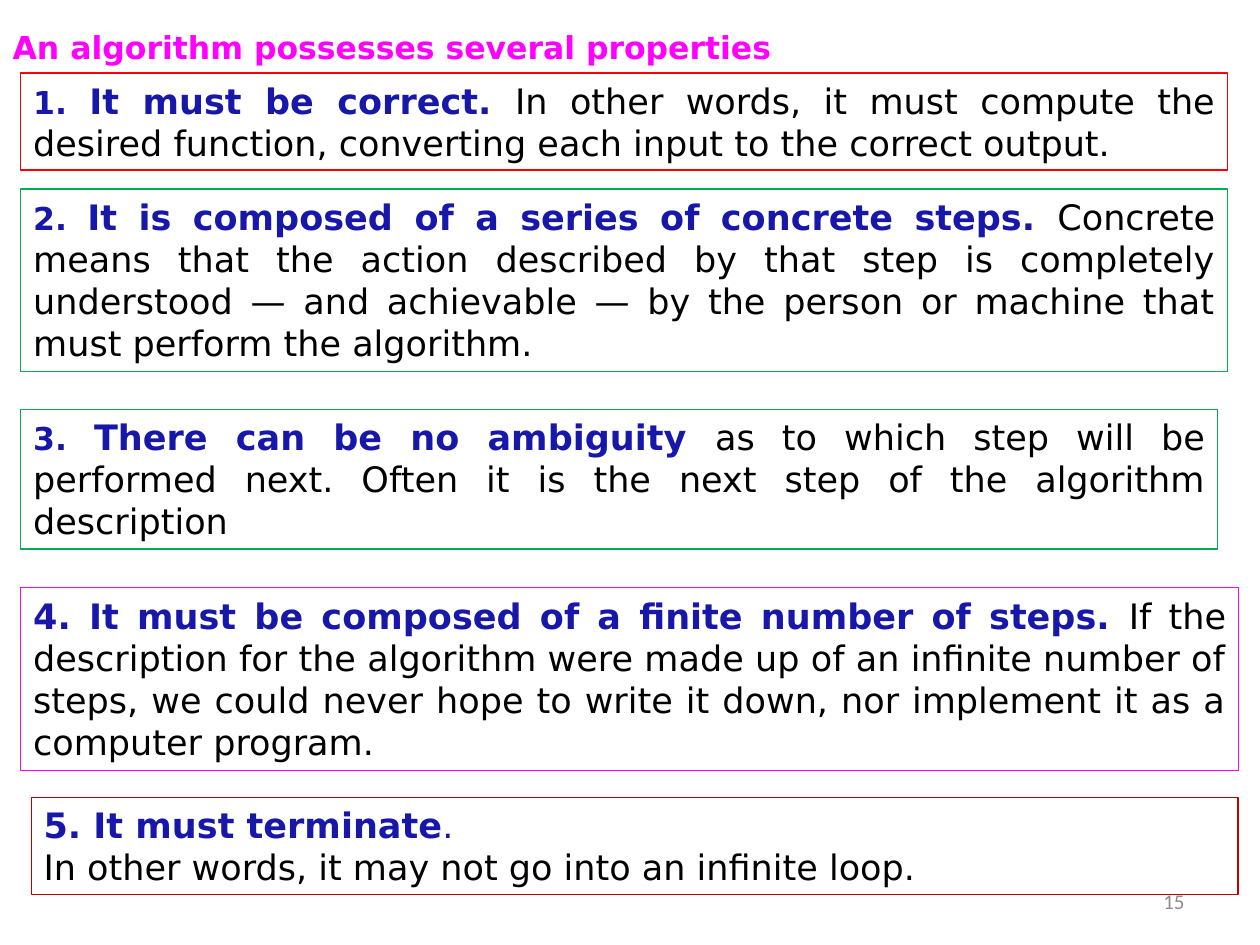
from pptx import Presentation
from pptx.dml.color import RGBColor
from pptx.enum.shapes import MSO_SHAPE
from pptx.enum.text import MSO_ANCHOR, MSO_AUTO_SIZE, PP_ALIGN
from pptx.util import Cm, Pt

BODY_FONT = "DejaVu Sans"
HEADING_COLOR = "1717A9"
BODY_COLOR = "000000"

PROPERTIES = [
    ((0.42, 1.47, 24.33, 1.96), "FF0000", PP_ALIGN.JUSTIFY, [[
        ("1. ", 18, True, HEADING_COLOR),
        ("It must be correct. ", 20, True, HEADING_COLOR),
        ("In other words, it must compute the desired function, converting "
         "each input to the correct output. ", 20, False, BODY_COLOR)]]),
    ((0.42, 3.81, 24.33, 3.68), "00B050", PP_ALIGN.JUSTIFY, [[
        ("2. ", 18, True, HEADING_COLOR),
        ("It is composed of a series of concrete steps. ", 20, True, HEADING_COLOR),
        ("Concrete means that the action described by that step is completely "
         "understood — and achievable — by the person or machine that must "
         "perform the algorithm. ", 20, False, BODY_COLOR)]]),
    ((0.42, 8.25, 24.13, 2.82), "00B050", PP_ALIGN.JUSTIFY, [[
        ("3. ", 18, True, HEADING_COLOR),
        ("There can be no ambiguity ", 20, True, HEADING_COLOR),
        ("as to which step will be performed next. Often it is the next step "
         "of the algorithm description", 20, False, BODY_COLOR)]]),
    ((0.42, 11.85, 24.55, 3.68), "FF00FF", PP_ALIGN.JUSTIFY, [[
        ("4. It must be composed of a finite number of steps. ", 20, True, HEADING_COLOR),
        ("If the description for the algorithm were made up of an infinite "
         "number of steps, we could never hope to write it down, nor implement "
         "it as a computer program. ", 20, False, BODY_COLOR)]]),
    ((0.63, 16.08, 24.33, 1.96), "C00000", PP_ALIGN.LEFT, [
        [("5. It must terminate", 20, True, HEADING_COLOR),
         (". ", 20, False, HEADING_COLOR)],
        [("In other words, it may not go into an infinite loop.", 20, False, BODY_COLOR)]]),
]


def color(value):
    """Turn a hex string into a colour."""
    return RGBColor.from_string(value)


def format_run(run, size, bold, value, font_name=BODY_FONT):
    """Set the font of one run."""
    run.font.name = font_name
    run.font.size = Pt(size)
    run.font.bold = bold
    run.font.color.rgb = color(value)


def place_title(slide, box, text):
    """Move the title placeholder to the box and fill it."""
    title = slide.shapes.title
    title.left, title.top, title.width, title.height = map(Cm, box)
    text_frame = title.text_frame
    text_frame.text = text
    text_frame.word_wrap = False
    text_frame.auto_size = MSO_AUTO_SIZE.NONE
    text_frame.vertical_anchor = MSO_ANCHOR.TOP
    paragraph = text_frame.paragraphs[0]
    paragraph.alignment = PP_ALIGN.LEFT
    format_run(paragraph.runs[0], 18, True, "FF00FF")


def add_property(slide, box, line_color, alignment, paragraphs):
    """Add one outlined property with its runs."""
    shape = slide.shapes.add_shape(MSO_SHAPE.RECTANGLE, *map(Cm, box))
    shape.shadow.inherit = False
    shape.fill.background()
    shape.line.color.rgb = color(line_color)
    shape.line.width = Pt(0.75)
    text_frame = shape.text_frame
    text_frame.word_wrap = True
    text_frame.vertical_anchor = MSO_ANCHOR.TOP
    text_frame.text = "\n".join("" for _ in paragraphs)
    for paragraph, runs in zip(text_frame.paragraphs, paragraphs):
        paragraph.alignment = alignment
        for text, size, bold, value in runs:
            run = paragraph.add_run()
            run.text = text
            format_run(run, size, bold, value)


def add_page_number(slide, box, number):
    """Add the page number at the right of the box."""
    text_frame = slide.shapes.add_textbox(*map(Cm, box)).text_frame
    text_frame.text = number
    text_frame.word_wrap = True
    text_frame.vertical_anchor = MSO_ANCHOR.MIDDLE
    paragraph = text_frame.paragraphs[0]
    paragraph.alignment = PP_ALIGN.RIGHT
    format_run(paragraph.runs[0], 12, False, "8C8C8C", "Calibri")


def build():
    """Build and save the presentation."""
    presentation = Presentation()
    presentation.slide_width = Cm(25.4)
    presentation.slide_height = Cm(19.05)
    slide = presentation.slides.add_slide(presentation.slide_layouts[5])
    place_title(slide, (0, 0.43, 16.2, 1.02), "An algorithm possesses several properties")
    add_page_number(slide, (18.2, 17.66, 5.93, 1.01), "15")
    for box, line_color, alignment, paragraphs in PROPERTIES:
        add_property(slide, box, line_color, alignment, paragraphs)
    presentation.save("out.pptx")


build()
